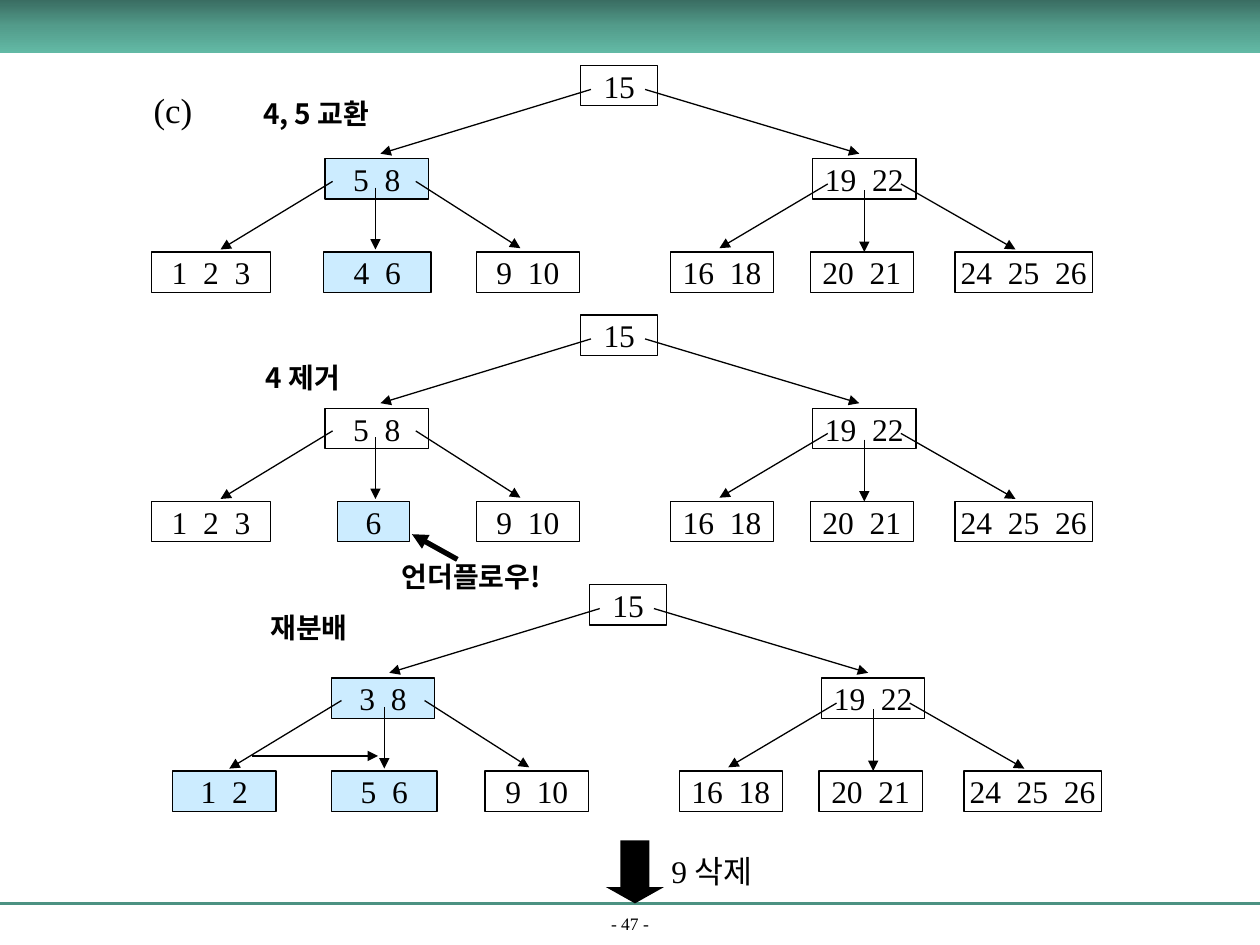
"""Builds a slide showing three steps of a B-tree deletion."""
from copy import deepcopy

from lxml.etree import SubElement
from pptx import Presentation
from pptx.dml.color import RGBColor
from pptx.enum.shapes import MSO_CONNECTOR as CONN, MSO_SHAPE as SHAPE
from pptx.enum.text import MSO_ANCHOR as ANCHOR, MSO_AUTO_SIZE as AUTO, PP_ALIGN as ALIGN
from pptx.oxml.ns import qn
from pptx.util import Inches, Pt

W, H = 10, 7.5
LATIN, KOREAN = "Times New Roman", "Noto Sans CJK KR"
BLACK, BLUE = "000000", "CCECFF"
BAND = [(0, "3A6D62"), (0.5, "539C8B"), (1, "62B9A5")]
ROWS, NODE_H = (0, 0.74, 1.48), 0.32

# text, left, row, width
SHARED = [("15", 4.61, 0, 0.61, None), ("19  22", 6.45, 1, 0.82, None),
          ("9  10", 3.78, 2, 0.82, None), ("16  18", 5.32, 2, 0.82, None),
          ("20  21", 6.43, 2, 0.82, None), ("24  25  26", 7.58, 2, 1.09, None)]
TREES = [
    (0, 0.52, [("5  8", 2.58, 1, 0.82, BLUE), ("1  2  3", 1.2, 2, 0.95, None),
               ("4  6", 2.57, 2, 0.85, BLUE)]),
    (0, 2.5, [("5  8", 2.58, 1, 0.82, None), ("1  2  3", 1.2, 2, 0.95, None),
              ("6", 2.68, 2, 0.57, BLUE)]),
    (0.07, 4.64, [("3  8", 2.56, 1, 0.82, BLUE), ("1  2", 1.3, 2, 0.82, BLUE),
                  ("5  6", 2.56, 2, 0.84, BLUE)]),
]
EDGES = [(4.69, 0.19, 3.02, 0.7), (5.12, 0.19, 6.82, 0.7),
         (2.64, 0.92, 1.75, 1.46), (2.98, 0.97, 2.98, 1.46), (3.3, 0.92, 4.13, 1.45),
         (6.57, 0.94, 5.71, 1.45), (6.86, 0.99, 6.86, 1.48), (7.15, 0.94, 8.06, 1.46)]
BOLD = {"size": Pt(16), "bold": True}
LABELS = [
    ((1.12, 0.65, 0.51, 0.43), [("(c)", LATIN)], {"size": Pt(20)}, False),
    ((1.99, 0.72, 1.11, 0.37), [("4, 5 교환", KOREAN)], BOLD, False),
    ((2.01, 2.81, 0.84, 0.37), [("4 제거", KOREAN)], BOLD, True),
    ((3.09, 4.39, 1.37, 0.37), [("언더플로우!", KOREAN)], BOLD, False),
    ((2.05, 4.8, 0.86, 0.37), [("재분배", KOREAN)], BOLD, False),
    ((5.23, 6.71, 0.91, 0.4), [("9 ", LATIN), ("삭제", KOREAN)], {"size": Pt(18)}, False),
]
MOVE_START = (2.28, 6)
MOVE_CURVES = [((2.34, 5.94), (2.4, 5.88), (2.48, 5.84)),
               ((2.56, 5.81), (2.7, 5.8), (2.76, 5.8)),
               ((2.81, 5.8), (2.82, 5.82), (2.83, 5.84)),
               ((2.85, 5.86), (2.85, 5.89), (2.85, 5.92)),
               ((2.86, 5.95), (2.85, 5.98), (2.85, 6.02))]


def color(hex_text):
    return RGBColor.from_string(hex_text)


def box(at):
    return [Inches(v) for v in at]


def paint(sp, fill=None, line=None, width=0.75):
    sp.shadow.inherit = False
    if fill:
        sp.fill.solid()
        sp.fill.fore_color.rgb = color(fill)
    else:
        sp.fill.background()
    if line:
        sp.line.color.rgb = color(line)
        sp.line.width = Pt(width)
    else:
        sp.line.fill.background()


def write(p, runs, fmt):
    for text, font in runs:
        r = p.add_run()
        r.text = text
        for name, value in {**fmt, "name": font}.items():
            setattr(r.font, name, value)
        r.font.color.rgb = color(BLACK)
        SubElement(r.font._element, qn("a:ea"), typeface=font)


def add_arrowhead(sp):
    SubElement(sp.line._get_or_add_ln(), qn("a:tailEnd"), type="triangle")


def add_line(s, ends, rgb=BLACK, width=0.75, arrow=True):
    ln = s.shapes.add_connector(CONN.STRAIGHT, *box(ends))
    ln.line.color.rgb = color(rgb)
    ln.line.width = Pt(width)
    if arrow:
        add_arrowhead(ln)
    SubElement(ln._element.spPr, qn("a:effectLst"))


def add_node(s, text, at, fill):
    sp = s.shapes.add_shape(SHAPE.RECTANGLE, *box(at))
    paint(sp, fill, BLACK)
    tf = sp.text_frame
    tf.word_wrap, tf.vertical_anchor = False, ANCHOR.MIDDLE
    p = tf.paragraphs[0]
    p.alignment = ALIGN.CENTER
    write(p, [(text, LATIN)], {"size": Pt(18)})


def add_tree(s, dx, top, own):
    for text, x, row, w, fill in SHARED + own:
        add_node(s, text, (x + dx, top + ROWS[row], w, NODE_H), fill)
    for x1, y1, x2, y2 in EDGES:
        add_line(s, (x1 + dx, y1 + top, x2 + dx, y2 + top))


def add_label(s, at, runs, fmt, wrap):
    tf = s.shapes.add_textbox(*box(at)).text_frame
    tf.word_wrap, tf.auto_size = wrap, AUTO.SHAPE_TO_FIT_TEXT
    write(tf.paragraphs[0], runs, fmt)


def add_frame(s):
    add_line(s, (0, 7.17, W, 7.17), "4C9282", 1.5, False)
    tf = s.shapes.add_textbox(*box((0, 7.24, W, 0.22))).text_frame
    tf.word_wrap, tf.vertical_anchor = True, ANCHOR.BOTTOM
    tf.paragraphs[0].alignment = ALIGN.CENTER
    write(tf.paragraphs[0], [("- 47 -", LATIN)], {"size": Pt(10)})
    sp = s.shapes.add_shape(SHAPE.RECTANGLE, *box((0, 0, W, 0.42)))
    paint(sp)
    sp.fill.gradient()
    sp.fill.gradient_angle = 270
    stops = sp._element.spPr.find(".//" + qn("a:gsLst"))
    stops.append(deepcopy(stops[0]))
    for stop, (position, rgb) in zip(sp.fill.gradient_stops, BAND):
        stop.position = position
        stop.color.rgb = color(rgb)


def curve_points(start, curves, steps=8):
    for a, b, end in curves:
        for t in (i / steps for i in range(1, steps + 1)):
            u = 1 - t
            yield tuple(u**3 * p0 + 3 * u * u * t * p1 + 3 * u * t * t * p2 + t**3 * p3
                        for p0, p1, p2, p3 in zip(start, a, b, end))
        start = end


def add_move(s):
    fb = s.shapes.build_freeform(*MOVE_START, scale=Inches(1))
    fb.add_line_segments(list(curve_points(MOVE_START, MOVE_CURVES)), close=False)
    sp = fb.convert_to_shape()
    paint(sp, None, BLACK, 1.5)
    add_arrowhead(sp)


def main():
    prs = Presentation()
    prs.slide_width, prs.slide_height = Inches(W), Inches(H)
    s = prs.slides.add_slide(prs.slide_layouts[6])
    add_frame(s)
    for tree in TREES:
        add_tree(s, *tree)
    add_line(s, (3.63, 4.44, 3.27, 4.24), width=3)
    sp = s.shapes.add_shape(SHAPE.DOWN_ARROW, *box((4.81, 6.67, 0.46, 0.5)))
    sp.adjustments[0], sp.adjustments[1] = 0.5, 0.28
    paint(sp, BLACK)
    for label in LABELS:
        add_label(s, *label)
    add_move(s)
    prs.save("out.pptx")


if __name__ == "__main__":
    main()
